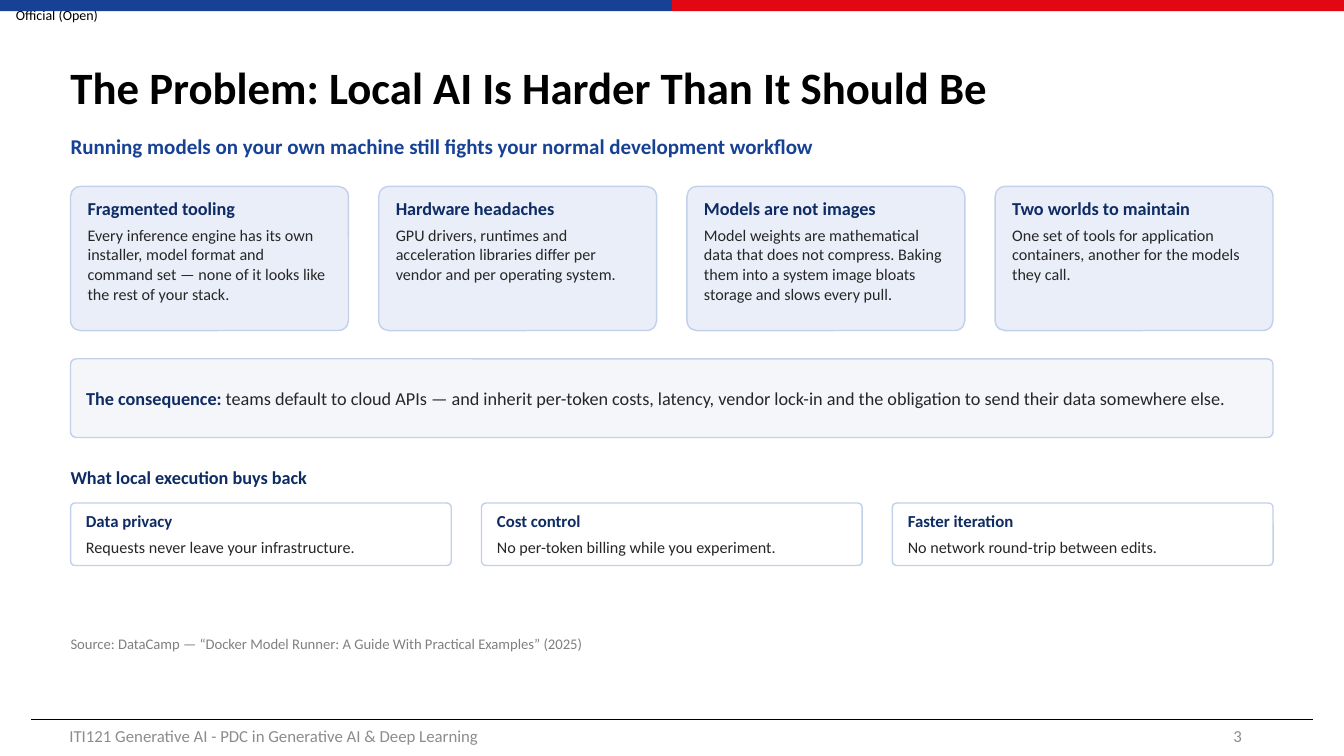
from lxml.etree import SubElement
from pptx import Presentation
from pptx.dml.color import RGBColor
from pptx.enum.shapes import MSO_CONNECTOR, MSO_SHAPE
from pptx.enum.text import MSO_ANCHOR, PP_ALIGN
from pptx.oxml.ns import qn
from pptx.util import Pt

SCALE = 9144  # EMU per px, 100 px to the inch
GAP = 30
BLUE, RED, NAVY, INK, EDGE = "164194", "E30613", "0E2B63", "262626", "C3D0EA"
GREY = "8C8C8C"

ISSUES = [
    ("Fragmented tooling",
     "Every inference engine has its own installer, model format and command set"
     " — none of it looks like the rest of your stack."),
    ("Hardware headaches",
     "GPU drivers, runtimes and acceleration libraries differ per vendor and per"
     " operating system."),
    ("Models are not images",
     "Model weights are mathematical data that does not compress. Baking them into"
     " a system image bloats storage and slows every pull."),
    ("Two worlds to maintain",
     "One set of tools for application containers, another for the models they call."),
]
GAINS = [
    ("Data privacy", "Requests never leave your infrastructure."),
    ("Cost control", "No per-token billing while you experiment."),
    ("Faster iteration", "No network round-trip between edits."),
]


def px(*nums):
    return [round(n * SCALE) for n in nums]


def color(code):
    return RGBColor.from_string(code)


def style(font, size, code, bold=False):
    font.name, font.size, font.bold = "Calibri", Pt(size), bold
    font.color.rgb = color(code)


def frame(shape, pad, anchor):
    """Set wrapping, insets and anchor of the shape's text."""
    body = shape.text_frame
    body.word_wrap = True
    body.vertical_anchor = anchor
    side, top = px(*pad)
    body.margin_left = body.margin_right = side
    body.margin_top = body.margin_bottom = top
    return body


def label(slide, box, text, size, code, bold=False, pad=(0, 0),
          anchor=MSO_ANCHOR.TOP, align=PP_ALIGN.LEFT, lead=1.0):
    body = frame(slide.shapes.add_textbox(*px(*box)), pad, anchor)
    para = body.paragraphs[0]
    para.text, para.alignment, para.line_spacing = text, align, lead
    style(para.font, size, code, bold)


def block(slide, kind, box, fill, edge=None):
    shape = slide.shapes.add_shape(kind, *px(*box))
    shape.shadow.inherit = False
    shape.fill.solid()
    shape.fill.fore_color.rgb = color(fill)
    if edge:
        shape.line.color.rgb = color(edge)
        shape.line.width = Pt(1)
    else:
        shape.line.fill.background()
    return shape


def panel(slide, box, fill, anchor):
    """Add a rounded, outlined box and return its text frame."""
    shape = block(slide, MSO_SHAPE.ROUNDED_RECTANGLE, box, fill, EDGE)
    shape.adjustments[0] = 0.07
    return frame(shape, (14, 9), anchor)


def card(slide, box, head, text, size, fill, anchor):
    body = panel(slide, box, fill, anchor)
    top, low = body.paragraphs[0], body.add_paragraph()
    top.text, top.line_spacing, top.space_after = head, 0.95, Pt(4)
    low.text, low.line_spacing = text, 1.02
    style(top.font, size, NAVY, True)
    style(low.font, 11.5, INK)
    top.alignment = low.alignment = PP_ALIGN.LEFT


def row(slide, box, items, size, fill, anchor):
    """Share the box equally among the cards."""
    left, top, width, height = box
    each = (width - GAP * (len(items) - 1)) / len(items)
    for i, (head, text) in enumerate(items):
        spot = (left + i * (each + GAP), top, each, height)
        card(slide, spot, head, text, size, fill, anchor)


def banner(slide, box, head, text):
    para = panel(slide, box, "F4F6FA", MSO_ANCHOR.MIDDLE).paragraphs[0]
    para.alignment, para.line_spacing = PP_ALIGN.LEFT, 1.05
    for words, code, bold in ((head, NAVY, True), (text, INK, False)):
        run = para.add_run()
        run.text = words
        style(run.font, 13, code, bold)


def header(slide, box):
    left, top, width, height = box
    label(slide, (left, top, 113, 29), "Official (Open)", 10, "000000",
          anchor=MSO_ANCHOR.MIDDLE, align=PP_ALIGN.CENTER)
    half = width / 2
    for i, code in enumerate((BLUE, RED)):
        block(slide, MSO_SHAPE.RECTANGLE, (left + i * half, top, half, height), code)


def footer(slide, box):
    left, top, width, height = box
    rule = slide.shapes.add_connector(
        MSO_CONNECTOR.STRAIGHT, *px(left, top + 4, left + width, top + 4))
    rule.line.color.rgb = color("000000")
    rule.line.width = Pt(0.5)
    SubElement(rule._element.spPr, qn("a:effectLst"))
    label(slide, (left + 28, top, 450, height),
          "ITI121 Generative AI - PDC in Generative AI & Deep Learning", 12, GREY,
          pad=(10, 5), anchor=MSO_ANCHOR.MIDDLE)
    label(slide, (left + width - 361, top, 300, height), "3", 12, GREY,
          pad=(10, 5), anchor=MSO_ANCHOR.MIDDLE, align=PP_ALIGN.RIGHT)


def content(slide, box):
    left, top, width, _ = box
    label(slide, (left - 10, top, 1208, 118),
          "The Problem: Local AI Is Harder Than It Should Be", 32, "000000", True,
          pad=(10, 5), anchor=MSO_ANCHOR.MIDDLE, lead=0.9)
    label(slide, (left, top + 102, width, 40),
          "Running models on your own machine still fights your normal"
          " development workflow", 15, BLUE, True)
    row(slide, (left, top + 155, width, 143), ISSUES, 13, "E9EEF8", MSO_ANCHOR.TOP)
    banner(slide, (left, top + 326, width, 78), "The consequence: ",
           "teams default to cloud APIs — and inherit per-token costs, latency, vendor"
           " lock-in and the obligation to send their data somewhere else.")
    label(slide, (left, top + 433, width, 30), "What local execution buys back",
          13, NAVY, True)
    row(slide, (left, top + 469, width, 62), GAINS, 12, "FFFFFF", MSO_ANCHOR.MIDDLE)
    label(slide, (left, top + 600, width, 30),
          "Source: DataCamp — “Docker Model Runner: A Guide With Practical Examples”"
          " (2025)", 10.5, "808080")


def main():
    deck = Presentation()
    deck.slide_width, deck.slide_height = px(1333.33, 750)
    slide = deck.slides.add_slide(deck.slide_layouts[6])
    header(slide, (0, 0, 1333.33, 11))
    footer(slide, (31, 710, 1272, 40))
    content(slide, (70, 30, 1193, 630))
    deck.save("out.pptx")


if __name__ == "__main__":
    main()
